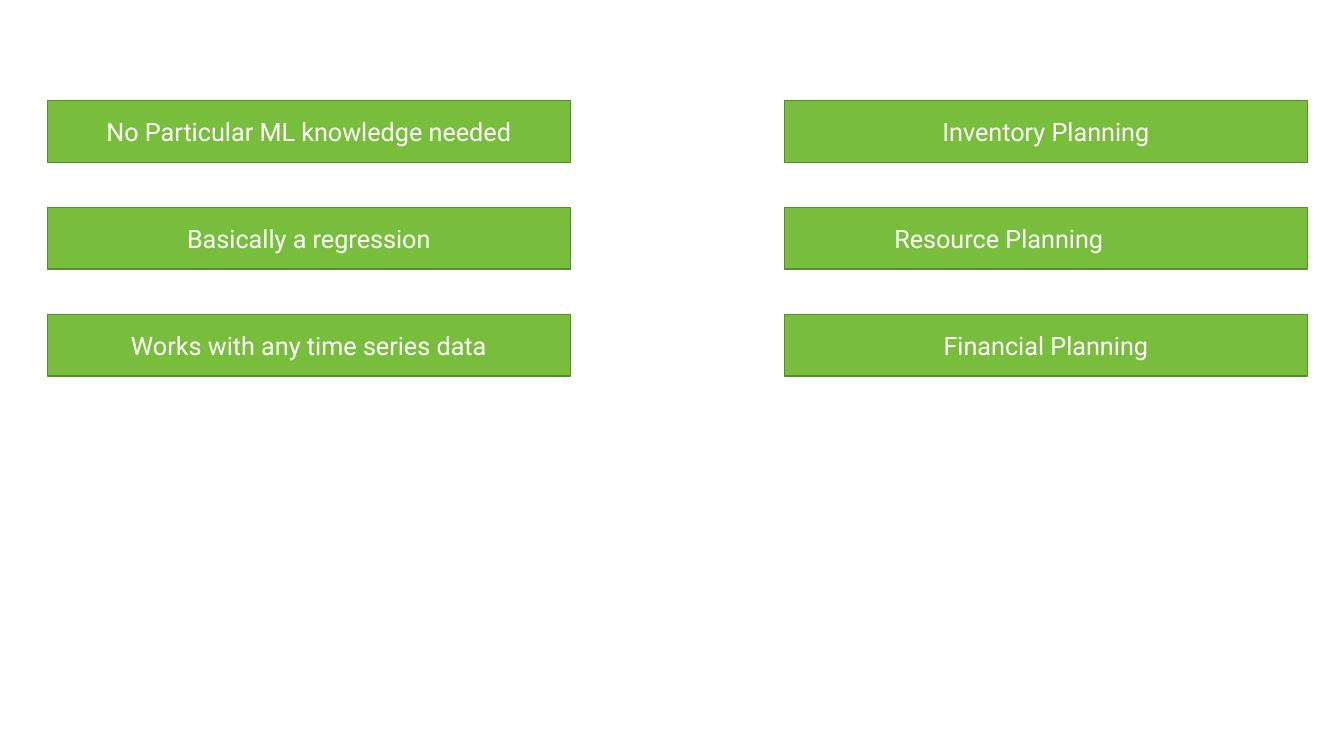
from pptx import Presentation
from pptx.dml.color import RGBColor
from pptx.enum.shapes import MSO_SHAPE
from pptx.enum.text import MSO_ANCHOR, PP_ALIGN
from pptx.util import Pt

RECT = MSO_SHAPE.RECTANGLE
MIDDLE = MSO_ANCHOR.MIDDLE
CENTER = PP_ALIGN.CENTER

COLORS = {"fill": "78BE3C", "line": "598D2C", "text": "FFFFFF"}
FONT = {"name": "Roboto", "size": Pt(18)}

# Box grid, in points
TOP, PITCH = 72, 76.3
WIDTH, HEIGHT = 373.7, 43.9
INSET = 7.2

# Left edge of each column and its labels with extra right inset
COLUMNS = [
    (33.8, [("No Particular ML knowledge needed", 0),
            ("Basically a regression", 0),
            ("Works with any time series data", 0)]),
    (560.2, [("Inventory Planning", 0),
             ("Resource Planning", 67.2),
             ("Financial Planning", 0)]),
]


class SlideBuilder:
    def __init__(self, slide, colors, font):
        self.slide = slide
        self.colors = {k: RGBColor.from_string(v) for k, v in colors.items()}
        self.font = font

    def box(self, x, y, w, h, text, extra_right=0):
        sp = self.slide.shapes.add_shape(RECT, Pt(x), Pt(y), Pt(w), Pt(h))
        sp.shadow.inherit = False
        sp.fill.solid()
        sp.fill.fore_color.rgb = self.colors["fill"]
        sp.line.color.rgb = self.colors["line"]
        sp.line.width = Pt(1)
        tf = sp.text_frame
        frame = {"word_wrap": True, "vertical_anchor": MIDDLE,
                 "margin_right": Pt(INSET + extra_right)}
        for name, value in frame.items():
            setattr(tf, name, value)
        p = tf.paragraphs[0]
        p.alignment = CENTER
        r = p.add_run()
        r.text = text
        for name, value in self.font.items():
            setattr(r.font, name, value)
        r.font.color.rgb = self.colors["text"]


def main():
    prs = Presentation()
    prs.slide_width, prs.slide_height = Pt(960), Pt(540)
    s = SlideBuilder(prs.slides.add_slide(prs.slide_layouts[6]), COLORS, FONT)

    # Two columns of labelled boxes
    for left, labels in COLUMNS:
        for row, (text, extra_right) in enumerate(labels):
            s.box(left, TOP + row * PITCH, WIDTH, HEIGHT, text, extra_right)

    prs.save("out.pptx")


if __name__ == "__main__":
    main()
